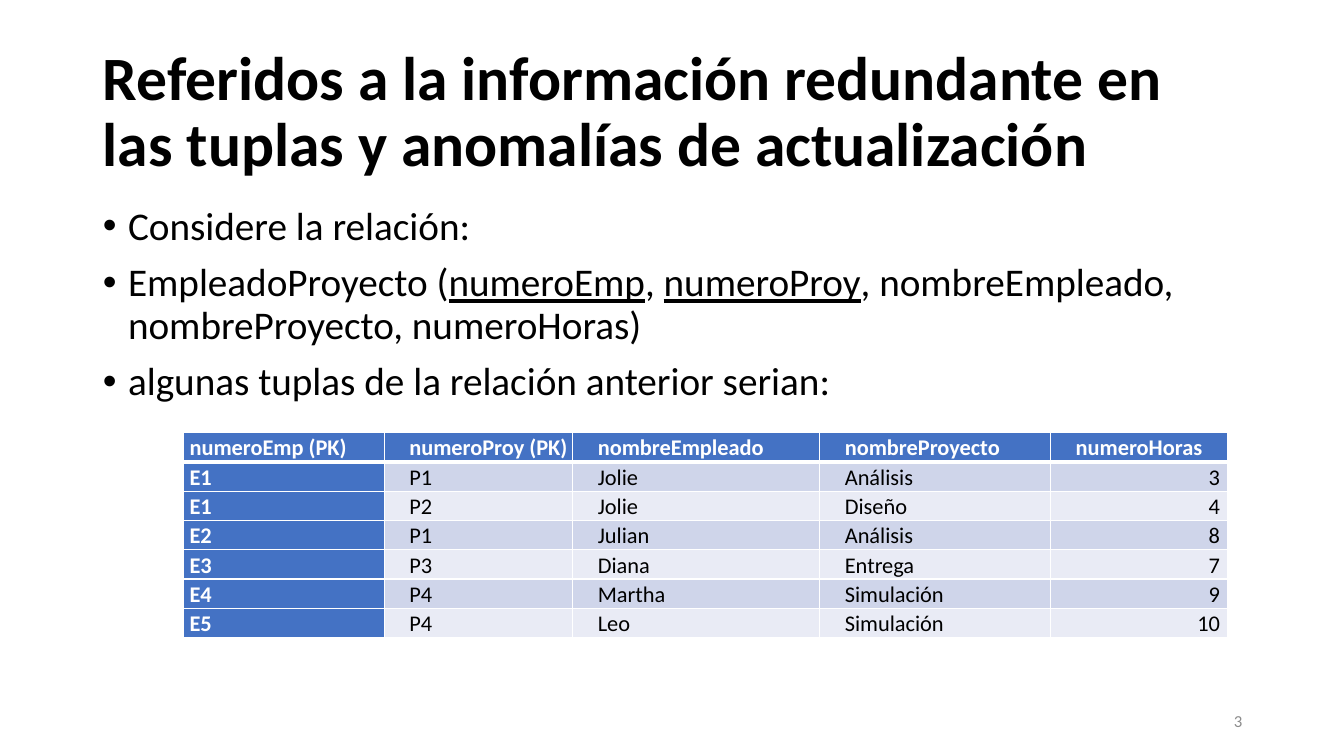
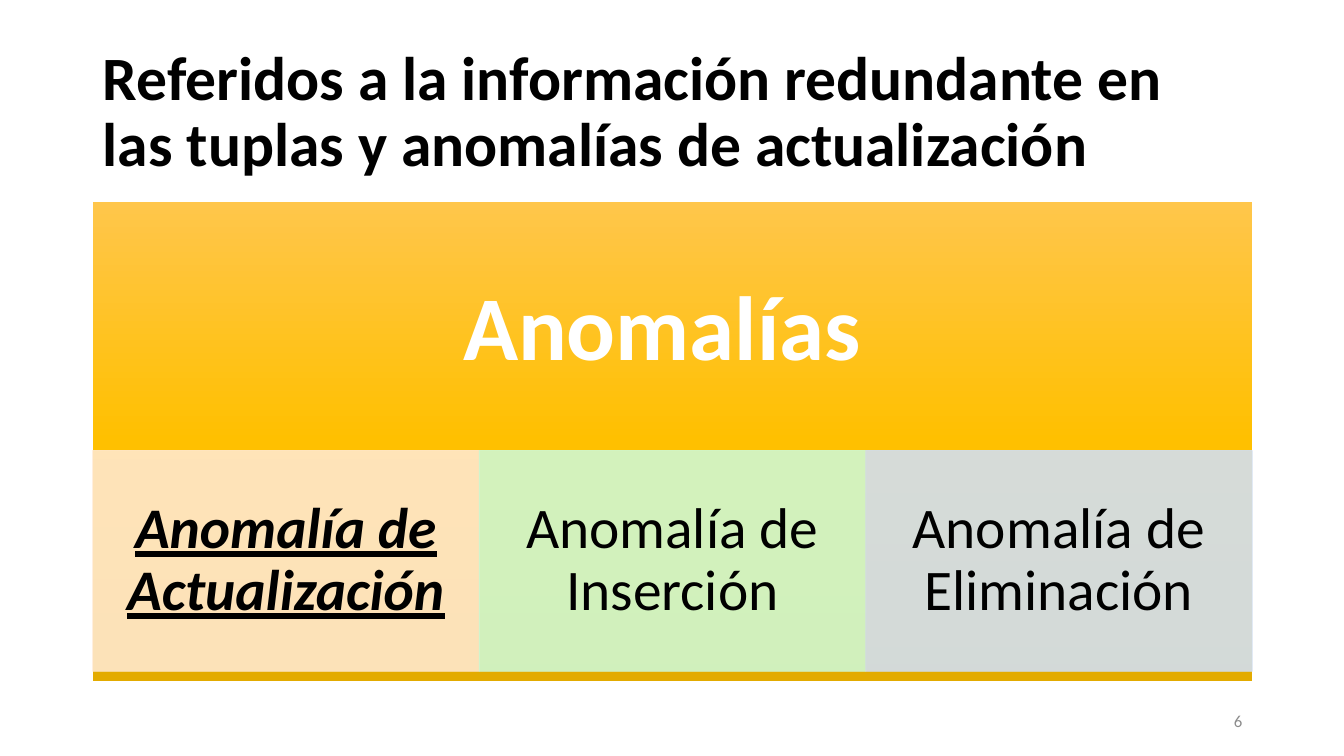
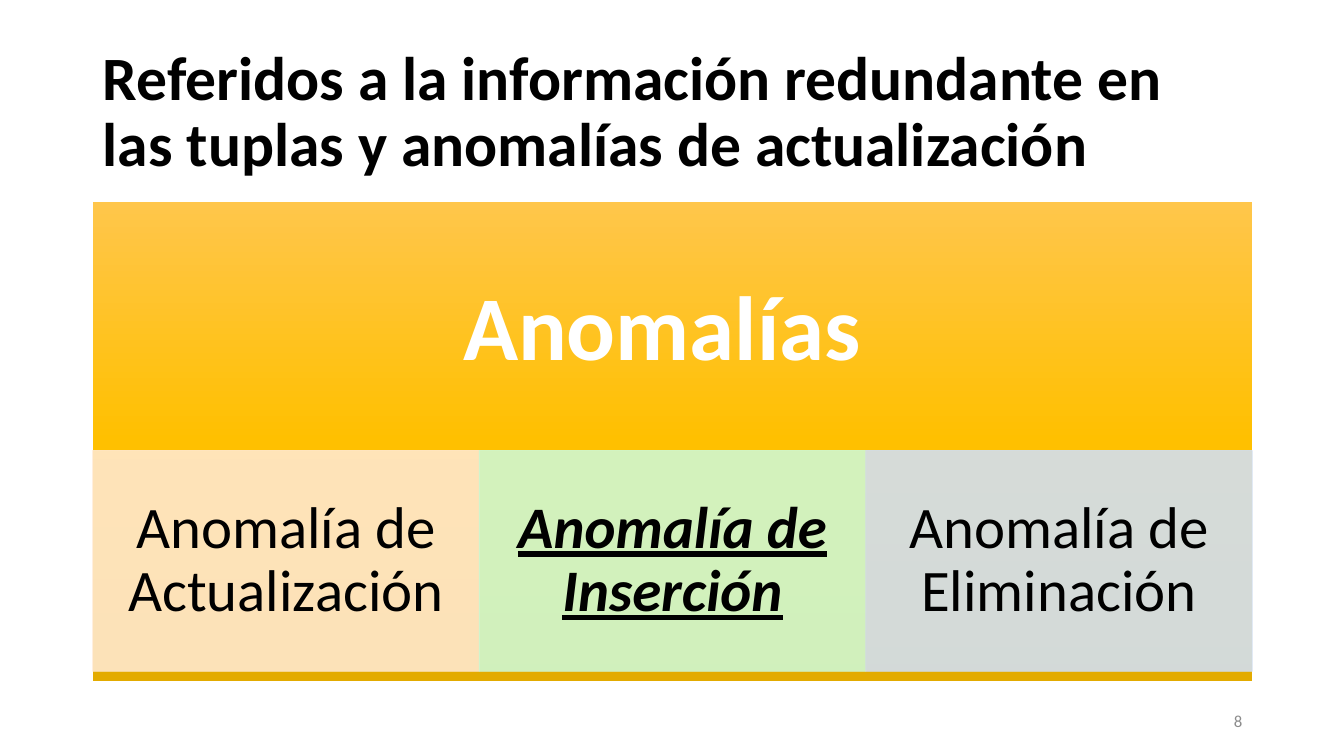
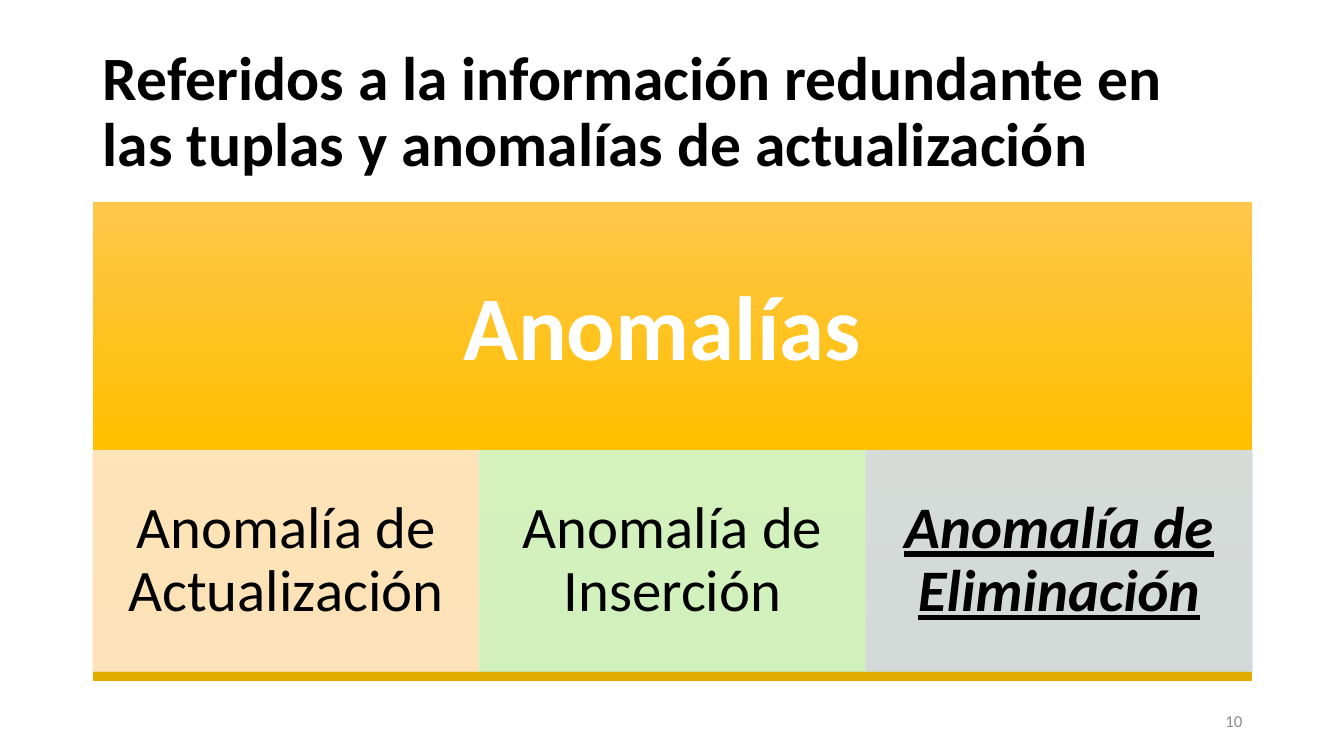
from dataclasses import dataclass

from lxml import etree
from pptx import Presentation
from pptx import util as u
from pptx.dml.color import RGBColor
from pptx.enum import shapes, text
from pptx.oxml.ns import qn


@dataclass(frozen=True)
class Theme:
    font: str = "Calibri"
    ink: str = "000000"
    paper: str = "FFFFFF"
    muted: str = "8C8C8C"
    header: str = "4472C4"
    stripes: tuple = ("CFD5EA", "E9EBF5")
    band: tuple = ((0, "FFC64B"), (0.5, "FFC000"), (1, "E3AB00"))
    cards: tuple = ("FFE8CC", "CFF8D1", "D2DFF0")
    title_size: int = 44
    body_size: int = 28
    table_size: int = 16
    number_size: int = 12
    band_size: int = 65


THEME = Theme()
WIDTH, HEIGHT = 13.33, 7.5
LEFT, CONTENT_WIDTH = 0.92, 11.5
TITLE_AREA = (LEFT, 0.4, CONTENT_WIDTH, 1.45)
CONTENT_AREA = (LEFT, 2, CONTENT_WIDTH, 4.76)
BAND_TITLE_AREA = (LEFT, 2, CONTENT_WIDTH, 2.57)
NUMBER_AREA = (9.42, 6.95, 3, 0.4)
CARD_TOP, CARD_HEIGHT = 4.47, 2.19
TABLE_LEFT, TABLE_TOP, ROW_HEIGHT = 1.82, 4.29, 0.29
COLUMN_WIDTHS = (1.99, 1.87, 2.45, 2.29, 1.76)

TITLE = "Referidos a la información redundante en las tuplas y anomalías de actualización"
# Each bullet is a list of (words, underlined) pieces.
BULLETS = [
    [("Considere la relación:", False)],
    [("EmpleadoProyecto (", False), ("numeroEmp", True), (", ", False), ("numeroProy", True),
     (", nombreEmpleado, nombreProyecto, numeroHoras)", False)],
    [("algunas tuplas de la relación anterior serian:", False)],
]
TUPLES = [
    ("numeroEmp (PK)", "numeroProy (PK)", "nombreEmpleado", "nombreProyecto", "numeroHoras "),
    ("E1", "P1", "Jolie", "Análisis", "3 "),
    ("E1", "P2", "Jolie", "Diseño", "4 "),
    ("E2", "P1", "Julian", "Análisis", "8 "),
    ("E3", "P3", "Diana", "Entrega", "7 "),
    ("E4", "P4", "Martha", "Simulación", "9 "),
    ("E5", "P4", "Leo", "Simulación", "10 "),
]
BAND_TITLE = "Anomalías "
ANOMALIES = ["Anomalía de Actualización ", "Anomalía de Inserción", "Anomalía de Eliminación"]
# Page number, highlighted anomaly, type size, side inset
ANOMALY_PAGES = [(6, 0, 41, 0.32), (8, 1, 42, 0.33), (10, 2, 42, 0.33)]


def inches(*lengths):
    return [u.Inches(length) for length in lengths]


def rgb(code):
    return RGBColor.from_string(code)


def set_margins(target, left, top, right, bottom):
    (target.margin_left, target.margin_top,
     target.margin_right, target.margin_bottom) = inches(left, top, right, bottom)


def style(para, size, color, bold=False, align=text.PP_ALIGN.LEFT, spacing=0.9):
    para.alignment, para.line_spacing, para.space_before = align, spacing, u.Pt(0)
    font = para.font
    font.name, font.size, font.bold = THEME.font, u.Pt(size), bold
    font.color.rgb = rgb(color)


def set_indent(para, margin, first_line):
    properties = para._p.get_or_add_pPr()
    properties.set("marL", str(u.Inches(margin)))
    properties.set("indent", str(u.Inches(first_line)))


def write(box, words, size, color, **options):
    """Put one vertically centred paragraph in a box and return it."""
    frame = box.text_frame
    frame.word_wrap, frame.auto_size = True, text.MSO_AUTO_SIZE.NONE
    frame.vertical_anchor = text.MSO_ANCHOR.MIDDLE
    frame.text = words
    style(frame.paragraphs[0], size, color, **options)
    return frame.paragraphs[0]


def place(shape, area):
    shape.left, shape.top, shape.width, shape.height = inches(*area)


def new_page(deck, layout, number):
    page = deck.slides.add_slide(deck.slide_layouts[layout])
    place(page.shapes.title, TITLE_AREA)
    write(page.shapes.title, TITLE, THEME.title_size, THEME.ink, bold=True)
    box = page.shapes.add_textbox(*inches(*NUMBER_AREA))
    write(box, str(number), THEME.number_size, THEME.muted,
          align=text.PP_ALIGN.RIGHT, spacing=1)
    return page


def add_bullets(body):
    place(body, CONTENT_AREA)
    frame = body.text_frame
    frame.auto_size = text.MSO_AUTO_SIZE.NONE
    for index, pieces in enumerate(BULLETS):
        para = frame.add_paragraph() if index else frame.paragraphs[0]
        set_indent(para, 0.25, -0.25)
        style(para, THEME.body_size, THEME.ink)
        if index:
            para.space_before = u.Pt(10)
        for words, underlined in pieces:
            span = para.add_run()
            span.text = words
            if underlined:
                span.font.underline = True


def add_borders(cell, bottom):
    properties = cell._tc.get_or_add_tcPr()
    for side, points in (("L", 1), ("R", 1), ("T", 1), ("B", bottom)):
        line = etree.SubElement(properties, qn(f"a:ln{side}"), w=str(u.Pt(points)))
        fill = etree.SubElement(line, qn("a:solidFill"))
        etree.SubElement(fill, qn("a:srgbClr"), val=THEME.paper)


def format_cell(cell, row, column):
    is_header = row == 0
    is_key = is_header or column == 0
    add_borders(cell, 3 if is_header else 1)
    cell.fill.solid()
    cell.fill.fore_color.rgb = rgb(THEME.header if is_key else THEME.stripes[(row - 1) % 2])
    set_margins(cell, 0, 0, 0.03, 0)
    align = text.PP_ALIGN.LEFT
    if column == len(COLUMN_WIDTHS) - 1:
        align = text.PP_ALIGN.JUSTIFY if is_header else text.PP_ALIGN.RIGHT
    para = cell.text_frame.paragraphs[0]
    set_indent(para, 0.26 if column else 0.07, -0.01)
    style(para, THEME.table_size, THEME.paper if is_key else THEME.ink,
          bold=is_key, align=align, spacing=1.07)


def add_tuples(page):
    area = inches(TABLE_LEFT, TABLE_TOP, sum(COLUMN_WIDTHS), ROW_HEIGHT * len(TUPLES))
    table = page.shapes.add_table(len(TUPLES), len(COLUMN_WIDTHS), *area).table
    table.horz_banding = False
    for column, width in zip(table.columns, COLUMN_WIDTHS):
        column.width = u.Inches(width)
    for row, values in enumerate(TUPLES):
        table.rows[row].height = u.Inches(ROW_HEIGHT)
        for column, value in enumerate(values):
            cell = table.cell(row, column)
            cell.text = value
            format_cell(cell, row, column)


def add_rectangle(page, area):
    shape = page.shapes.add_shape(shapes.MSO_SHAPE.RECTANGLE, *inches(*area))
    shape.shadow.inherit = False
    return shape


def add_band(page):
    band = add_rectangle(page, CONTENT_AREA)
    band.line.fill.background()
    band.fill.gradient()
    band.fill.gradient_angle = 270
    stop_list = band.element.spPr.find(".//" + qn("a:gsLst"))
    for old_stop in list(stop_list):
        stop_list.remove(old_stop)
    for position, color in THEME.band:
        stop = etree.SubElement(stop_list, qn("a:gs"), pos=str(int(position * 100000)))
        etree.SubElement(stop, qn("a:srgbClr"), val=color)
    box = page.shapes.add_textbox(*inches(*BAND_TITLE_AREA))
    set_margins(box.text_frame, *[0.51] * 4)
    write(box, BAND_TITLE, THEME.band_size, THEME.paper, bold=True, align=text.PP_ALIGN.CENTER)


def add_cards(page, highlighted, size, inset):
    width = CONTENT_WIDTH / len(ANOMALIES)
    for index, (words, color) in enumerate(zip(ANOMALIES, THEME.cards)):
        card = add_rectangle(page, (LEFT + index * width, CARD_TOP, width, CARD_HEIGHT))
        card.fill.solid()
        card.fill.fore_color.rgb = card.line.color.rgb = rgb(color)
        card.line.width = u.Pt(0.5)
        for tint in card.element.spPr.iter(qn("a:srgbClr")):
            etree.SubElement(tint, qn("a:alpha"), val="90000")
        set_margins(card.text_frame, inset, 0.06, inset, 0.06)
        is_current = index == highlighted
        para = write(card, words, size, THEME.ink, bold=is_current, align=text.PP_ALIGN.CENTER)
        para.font.italic = para.font.underline = is_current


def main():
    deck = Presentation()
    deck.slide_width, deck.slide_height = inches(WIDTH, HEIGHT)
    page = new_page(deck, 1, 3)
    add_bullets(page.placeholders[1])
    add_tuples(page)
    for number, highlighted, size, inset in ANOMALY_PAGES:
        page = new_page(deck, 5, number)
        add_band(page)
        add_cards(page, highlighted, size, inset)
    deck.save("out.pptx")


if __name__ == "__main__":
    main()
